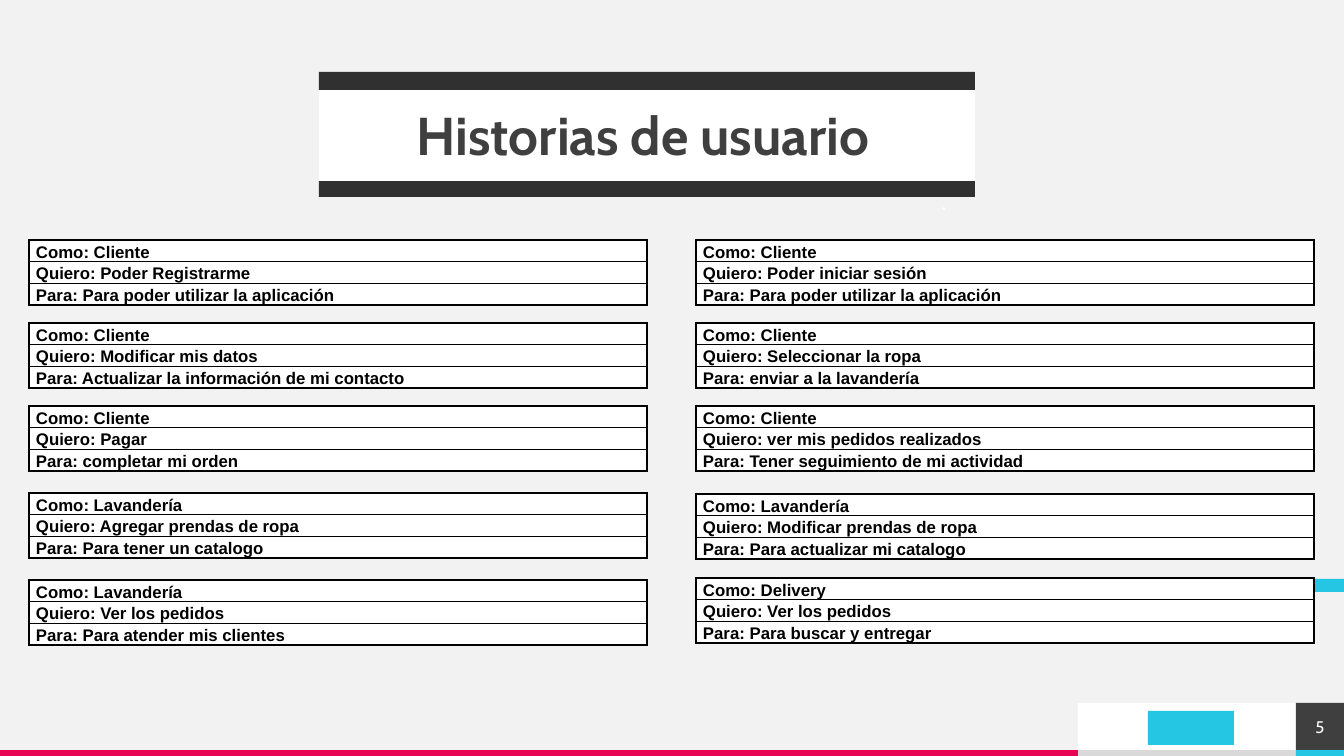
"""Build the user stories slide."""
from dataclasses import dataclass

from lxml.etree import SubElement
from pptx import Presentation
from pptx.dml.color import RGBColor
from pptx.enum.shapes import MSO_CONNECTOR as Connector, MSO_SHAPE as ShapeKind
from pptx.enum.text import MSO_ANCHOR as Anchor, PP_ALIGN as Align
from pptx.oxml.ns import qn
from pptx.shapes.autoshape import Shape
from pptx.slide import Slide
from pptx.table import _Cell as Cell
from pptx.text.text import TextFrame
from pptx.util import Emu, Pt

EMU_PER_PX = 914400 / 100.8
COLORS = {
    "background": "F2F2F2",
    "white": "FFFFFF",
    "black": "000000",
    "dark": "3F3F3F",
    "gray": "D9D9D9",
    "cyan": "25C6E3",
    "pink": "E80554",
}
STORY_LEFTS = (29, 696)
STORY_WIDTH = 618
STORY_ROW_HEIGHT = 17
BANNER_INSETS = (20, 20, 28, 20)


@dataclass(frozen=True)
class Block:
    left: int
    top: int
    width: int
    height: int
    color: str
    opacity: int = 100


@dataclass(frozen=True)
class Label:
    text: str
    size: int
    font: str
    color: str
    align: Align
    bold: bool = False
    spacing: float = 1.0
    insets: tuple[int, int, int, int] = (0, 0, 0, 0)
    anchor: Anchor = Anchor.TOP


@dataclass(frozen=True)
class Story:
    column: int
    top: int
    role: str
    wish: str
    purpose: str


FRAME_BLOCKS = (
    Block(1078, 703, 218, 47, "white"),
    Block(1148, 711, 86, 34, "cyan"),
    Block(1078, 579, 266, 13, "cyan"),
    Block(1078, 750, 218, 6, "gray"),
    Block(0, 750, 1078, 6, "pink"),
    Block(1296, 750, 48, 6, "cyan"),
)
TITLE_BLOCK = Block(319, 90, 656, 91, "white")
TITLE = Label("Historias de usuario", 38, "Cabin", "dark", Align.CENTER, True, 0.9, BANNER_INSETS)
NUMBER_BLOCK = Block(1296, 703, 48, 47, "dark")
NUMBER = Label("5", 12, "Cabin", "white", Align.CENTER, anchor=Anchor.MIDDLE)
TOP_BAR = Block(319, 72, 656, 18, "black", 80)
BOTTOM_BAR = Block(319, 181, 656, 16, "black", 80)
DOT = Label(".", 18, "Calibri", "white", Align.RIGHT, spacing=0.9, insets=BANNER_INSETS)

STORIES = (
    Story(0, 240, "Cliente", "Poder Registrarme", "Para poder utilizar la aplicación"),
    Story(1, 240, "Cliente", "Poder iniciar sesión", "Para poder utilizar la aplicación"),
    Story(0, 323, "Cliente", "Modificar mis datos", "Actualizar la información de mi contacto"),
    Story(1, 323, "Cliente", "Seleccionar la ropa", "enviar a la lavandería"),
    Story(0, 406, "Cliente", "Pagar", "completar mi orden"),
    Story(1, 406, "Cliente", "ver mis pedidos realizados", "Tener seguimiento de mi actividad"),
    Story(0, 493, "Lavandería", "Agregar prendas de ropa", "Para tener un catalogo"),
    Story(1, 494, "Lavandería", "Modificar prendas de ropa", "Para actualizar mi catalogo"),
    Story(0, 580, "Lavandería", "Ver los pedidos", "Para atender mis clientes"),
    Story(1, 578, "Delivery", "Ver los pedidos", "Para buscar y entregar"),
)


def px(length: int) -> Emu:
    return Emu(round(length * EMU_PER_PX))


def rgb(name: str) -> RGBColor:
    return RGBColor.from_string(COLORS[name])


def add_block(slide: Slide, block: Block) -> Shape:
    box = map(px, (block.left, block.top, block.width, block.height))
    shape = slide.shapes.add_shape(ShapeKind.RECTANGLE, *box)
    shape.shadow.inherit = False
    shape.line.fill.background()
    shape.fill.solid()
    shape.fill.fore_color.rgb = rgb(block.color)
    if block.opacity < 100:
        color = shape.fill._xPr.find(qn("a:solidFill"))[0]
        SubElement(color, qn("a:alpha"), val=str(block.opacity * 1000))
    return shape


def write_label(frame: TextFrame, label: Label) -> None:
    frame.text = label.text
    frame.word_wrap = True
    frame.vertical_anchor = label.anchor
    sides = map(px, label.insets)
    frame.margin_left, frame.margin_top, frame.margin_right, frame.margin_bottom = sides
    format_text(frame, label)


def format_text(frame: TextFrame, label: Label) -> None:
    paragraph = frame.paragraphs[0]
    paragraph.alignment = label.align
    paragraph.line_spacing = label.spacing
    font = paragraph.runs[0].font
    font.name, font.size, font.bold = label.font, Pt(label.size), label.bold
    font.color.rgb = rgb(label.color)


def add_border(cell: Cell) -> None:
    properties = cell._tc.get_or_add_tcPr()
    for side in ("lnL", "lnR", "lnT", "lnB"):
        line = SubElement(properties, qn(f"a:{side}"), w=str(Pt(1)))
        fill = SubElement(line, qn("a:solidFill"))
        SubElement(fill, qn("a:srgbClr"), val=COLORS["black"])


def add_story(slide: Slide, story: Story) -> None:
    lines = (f"Como: {story.role}", f"Quiero: {story.wish}", f"Para: {story.purpose}")
    box = (STORY_LEFTS[story.column], story.top, STORY_WIDTH, STORY_ROW_HEIGHT * len(lines))
    table = slide.shapes.add_table(len(lines), 1, *map(px, box)).table
    table.first_row = table.horz_banding = False
    for row, text in zip(table.rows, lines):
        row.height = px(STORY_ROW_HEIGHT)
        cell = row.cells[0]
        cell.margin_left = cell.margin_right = px(7)
        cell.margin_top = cell.margin_bottom = 0
        add_border(cell)
        cell.fill.solid()
        cell.fill.fore_color.rgb = rgb("white")
        cell.text_frame.text = text
        format_text(cell.text_frame, Label(text, 12, "Arial", "black", Align.LEFT, True, 1.15))


def add_footer_line(slide: Slide) -> None:
    ends = map(px, (1344, 703, 0, 703))
    connector = slide.shapes.add_connector(Connector.STRAIGHT, *ends)
    connector.line.color.rgb = rgb("background")
    connector.line.width = Pt(0.75)
    SubElement(connector._element.spPr, qn("a:effectLst"))


def main() -> None:
    presentation = Presentation()
    presentation.slide_width, presentation.slide_height = px(1344), px(756)
    slide = presentation.slides.add_slide(presentation.slide_layouts[6])
    slide.background.fill.solid()
    slide.background.fill.fore_color.rgb = rgb("background")
    for block in FRAME_BLOCKS:
        add_block(slide, block)
    add_footer_line(slide)
    write_label(add_block(slide, TITLE_BLOCK).text_frame, TITLE)
    write_label(add_block(slide, NUMBER_BLOCK).text_frame, NUMBER)
    for story in STORIES:
        add_story(slide, story)
    add_block(slide, TOP_BAR)
    write_label(add_block(slide, BOTTOM_BAR).text_frame, DOT)
    presentation.save("out.pptx")


if __name__ == "__main__":
    main()
